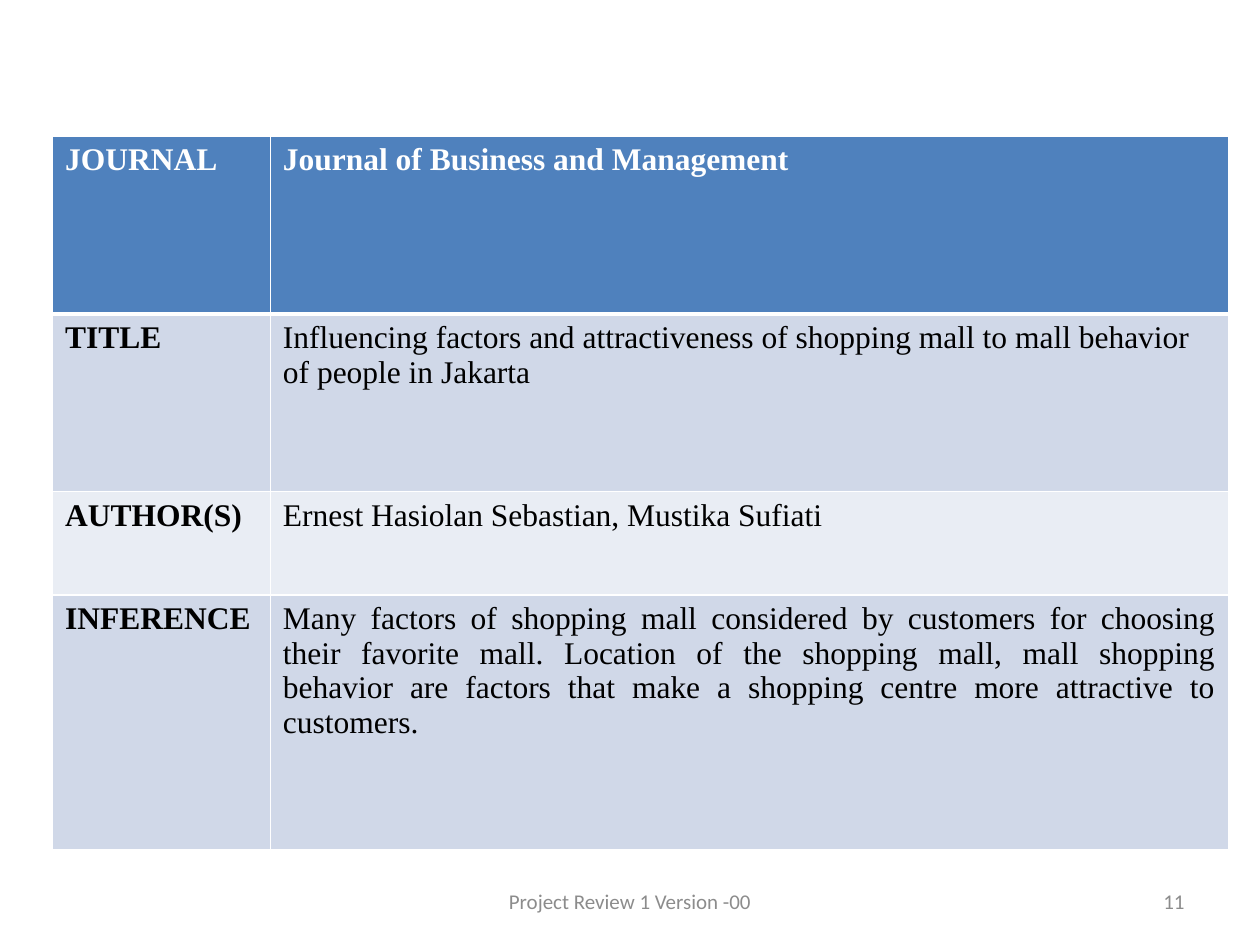
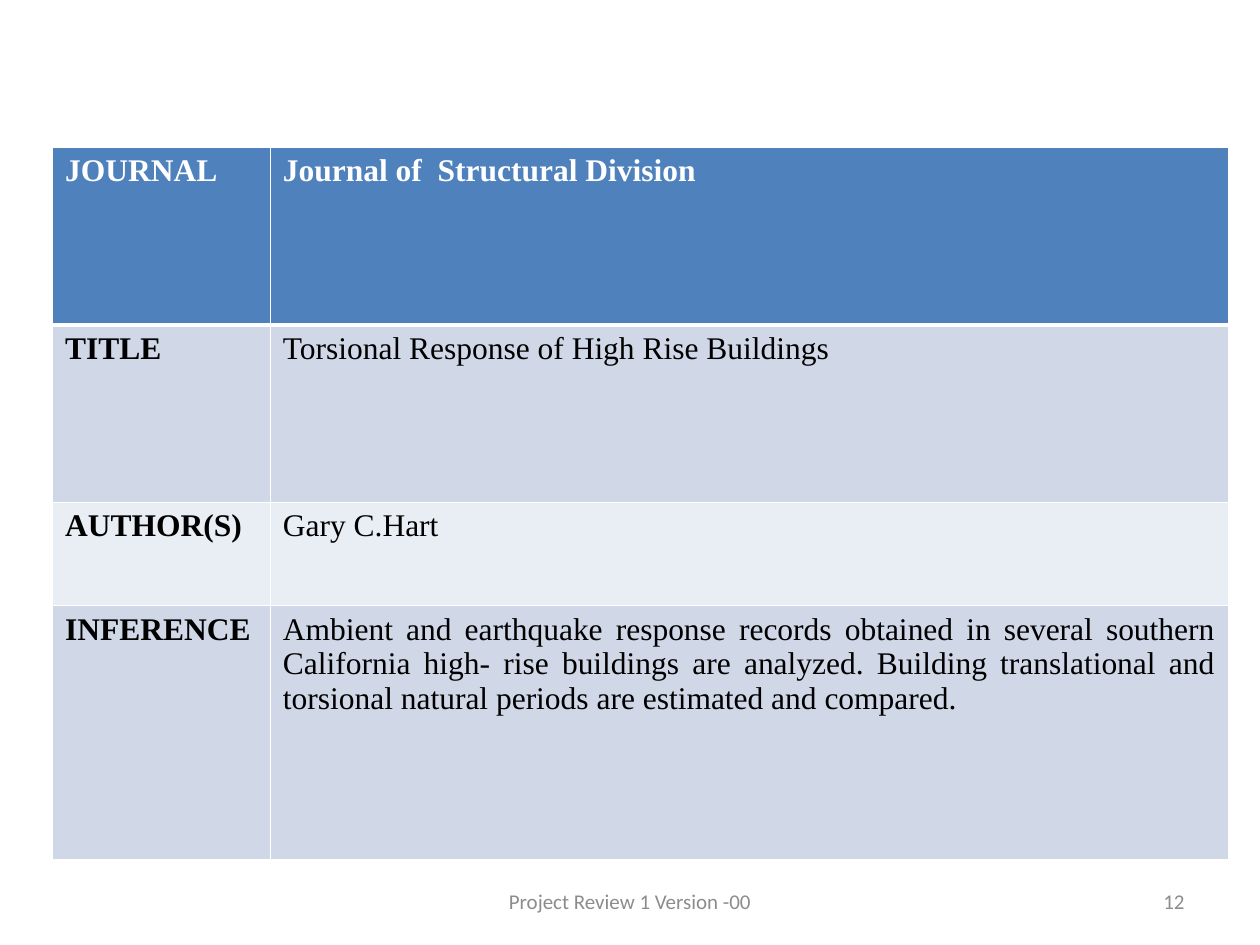
from lxml.etree import SubElement
from pptx import Presentation
from pptx.dml.color import RGBColor
from pptx.enum.text import MSO_ANCHOR as Anchor, PP_ALIGN as Align
from pptx.oxml.ns import qn
from pptx.util import Cm, Pt

COLORS = {
    "header": "4F81BD",
    "band_dark": "D0D8E8",
    "band_light": "E9EDF4",
    "white": "FFFFFF",
    "black": "000000",
    "footer": "8C8C8C",
}
LABELS = ["JOURNAL", "TITLE", "AUTHOR(S)", "INFERENCE"]
ROW_FILLS = ["header", "band_dark", "band_light", "band_dark"]
ROW_ALIGNS = [Align.JUSTIFY, Align.LEFT, Align.LEFT, Align.JUSTIFY]
COL_WIDTHS = [4.39, 19.31]
ROW_HEIGHTS = [3.58, 3.58, 2.08, 5.13]

# Table top, slide number and the four entries of each reviewed paper
PAPERS = [
    (2.75, 11, [
        "Journal of Business and Management ",
        "Influencing factors and attractiveness of shopping mall to mall "
        "behavior of people in Jakarta",
        "Ernest Hasiolan Sebastian, Mustika Sufiati",
        "Many factors of shopping mall considered by customers for choosing "
        "their favorite mall. Location of the shopping mall, mall shopping "
        "behavior are factors that make a shopping centre more attractive "
        "to customers.",
    ]),
    (2.97, 12, [
        "Journal of  Structural Division",
        "Torsional Response of High Rise Buildings",
        "Gary C.Hart",
        "Ambient and earthquake response records obtained in several "
        "southern California high- rise buildings are analyzed. Building "
        "translational and torsional natural periods are estimated and "
        "compared.",
    ]),
]


def write(tf, text, font="Times New Roman", size=18, color="black",
          bold=False, align=Align.LEFT):
    p = tf.paragraphs[0]
    p.alignment = align
    r = p.add_run()
    r.text = text
    r.font.name = font
    r.font.size = Pt(size)
    r.font.bold = bold
    r.font.color.rgb = RGBColor.from_string(COLORS[color])


class Deck:
    def __init__(self):
        self.prs = Presentation()
        self.prs.slide_width, self.prs.slide_height = Cm(25.4), Cm(19.05)
        self.s = None

    def add_slide(self):
        self.s = self.prs.slides.add_slide(self.prs.slide_layouts[6])

    def footer(self, text, left, width, align):
        sp = self.s.shapes.add_textbox(Cm(left), Cm(17.65), Cm(width), Cm(1.02))
        tf = sp.text_frame
        tf.word_wrap = True
        tf.vertical_anchor = Anchor.MIDDLE
        write(tf, text, font="Calibri", size=12, color="footer", align=align)

    def borders(self, cell, **widths):
        tc_pr = cell._tc.get_or_add_tcPr()
        for side in "LRTB":
            ln = SubElement(tc_pr, qn(f"a:ln{side}"),
                            w=str(Pt(widths.get(side, 1))))
            fill = SubElement(ln, qn("a:solidFill"))
            SubElement(fill, qn("a:srgbClr"), val=COLORS["white"])

    def table(self, top, entries):
        frame = self.s.shapes.add_table(
            len(LABELS), 2, Cm(1.06), Cm(top),
            Cm(sum(COL_WIDTHS)), Cm(sum(ROW_HEIGHTS)))
        table = frame.table
        table.first_row = table.horz_banding = False
        for col, width in zip(table.columns, COL_WIDTHS):
            col.width = Cm(width)
        for i, (label, entry) in enumerate(zip(LABELS, entries)):
            table.rows[i].height = Cm(ROW_HEIGHTS[i])
            is_header = i == 0
            # A thick rule separates the header from the rows below
            rule = {0: {"B": 3}, 1: {"T": 3}}.get(i, {})
            for j, text in enumerate((label, entry)):
                cell = table.cell(i, j)
                self.borders(cell, **rule)
                cell.fill.solid()
                cell.fill.fore_color.rgb = RGBColor.from_string(
                    COLORS[ROW_FILLS[i]])
                write(cell.text_frame, text, bold=is_header or j == 0,
                      color="white" if is_header else "black",
                      align=ROW_ALIGNS[i] if j else Align.LEFT)


def main():
    deck = Deck()
    for top, number, entries in PAPERS:
        deck.add_slide()
        deck.footer("Project Review 1 Version -00", 8.68, 8.04, Align.CENTER)
        deck.footer(str(number), 18.2, 5.93, Align.RIGHT)
        deck.table(top, entries)
    deck.prs.save("out.pptx")


if __name__ == "__main__":
    main()
